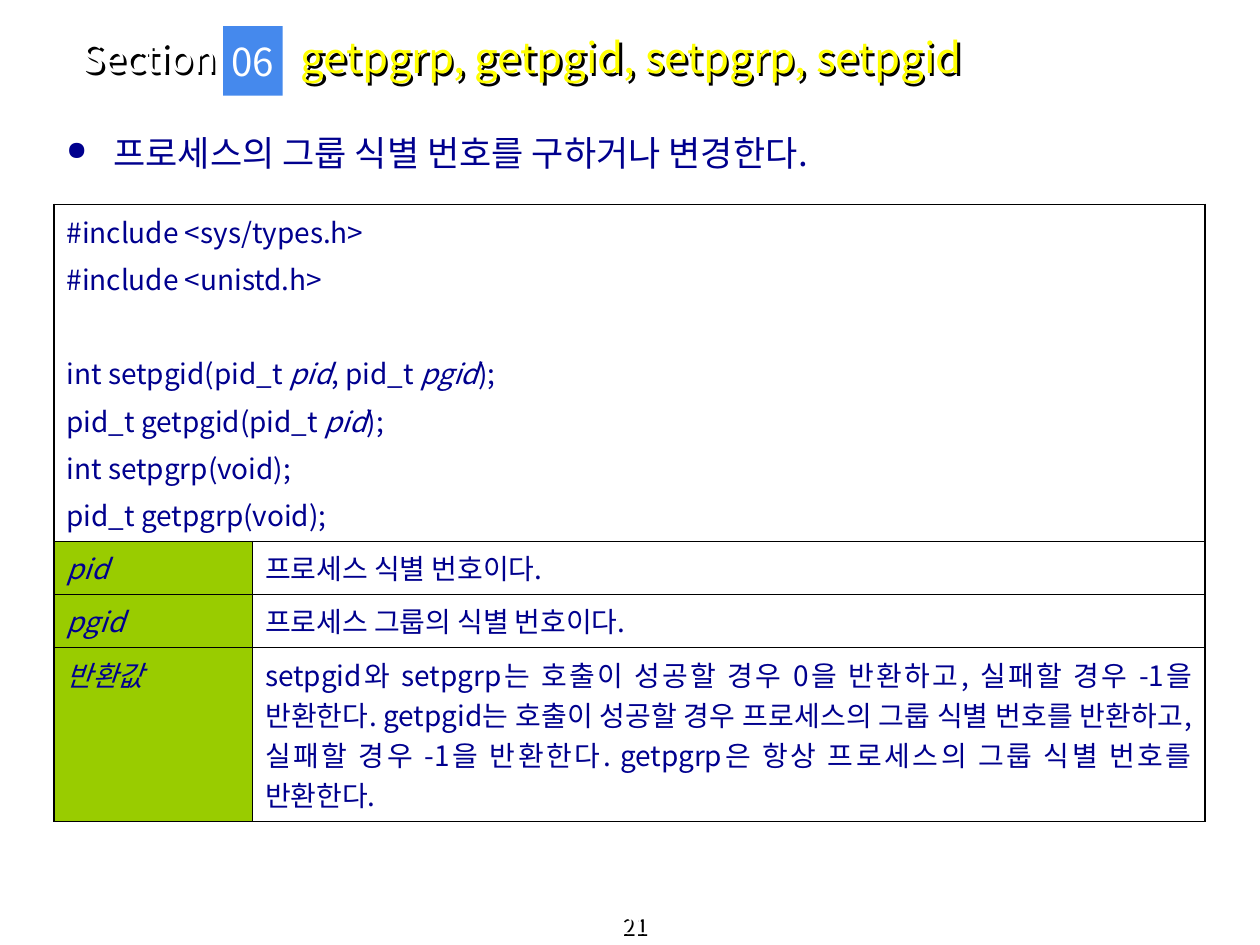
from lxml import etree
from pptx import Presentation
from pptx.dml.color import RGBColor
from pptx.enum.shapes import MSO_SHAPE
from pptx.enum.text import MSO_ANCHOR, PP_ALIGN
from pptx.oxml import parse_xml
from pptx.oxml.ns import nsdecls, qn
from pptx.util import Cm, Pt

RECTANGLE = MSO_SHAPE.RECTANGLE
TOP, MIDDLE, BOTTOM = MSO_ANCHOR.TOP, MSO_ANCHOR.MIDDLE, MSO_ANCHOR.BOTTOM
LEFT, CENTER, JUSTIFY = PP_ALIGN.LEFT, PP_ALIGN.CENTER, PP_ALIGN.JUSTIFY
FONT = "Noto Sans CJK KR"
COLORS = {
    "navy": "00008E",
    "white": "FFFFFF",
    "yellow": "FFFF00",
    "blue": "4589ED",
    "green": "99CC00",
    "black": "000000",
}


def write(para, text, size=16, color="navy", align=LEFT, before=0):
    """Fill a paragraph; parts between asterisks become italic."""
    para.alignment = align
    para.space_before = Pt(before)
    para._p.get_or_add_pPr().set("hangingPunct", "0")
    for index, part in enumerate(text.split("*")):
        if not part:
            continue
        span = para.add_run()
        span.text = part
        span.font.size = Pt(size)
        span.font.name = FONT
        span.font.italic = index % 2 == 1
        span.font.color.rgb = RGBColor.from_string(COLORS[color])
        latin = span.font._element.find(qn("a:latin"))
        latin.addnext(parse_xml(f'<a:ea {nsdecls("a")} typeface="{FONT}"/>'))


def add_text(page, left, top, width, height, text, anchor=MIDDLE, shadow=False, **style):
    box = page.shapes.add_textbox(Cm(left), Cm(top), Cm(width), Cm(height))
    box.text_frame.word_wrap = True
    box.text_frame.vertical_anchor = anchor
    write(box.text_frame.paragraphs[0], text, **style)
    if shadow:
        box._element.spPr.append(parse_xml(
            f'<a:effectLst {nsdecls("a")}><a:outerShdw dist="25400" dir="2700000">'
            f'<a:srgbClr val="{COLORS["black"]}"/></a:outerShdw></a:effectLst>'))
    return box


deck = Presentation()
deck.slide_width, deck.slide_height = Cm(25.4), Cm(19.05)
page = deck.slides.add_slide(deck.slide_layouts[6])

# Page number and section heading
add_text(page, 0.08, 18.49, 25.4, 0.56, "21", anchor=BOTTOM, shadow=True,
         size=13, color="white", align=CENTER)
add_text(page, 1.4, 0.69, 4.9, 0.94, "Section", shadow=True, size=22, color="white")
add_text(page, 5.81, 0.28, 16.48, 1.73, "getpgrp, getpgid, setpgrp, setpgid",
         shadow=True, size=24, color="yellow")

number = page.shapes.add_shape(RECTANGLE, Cm(4.5), Cm(0.53), Cm(1.2), Cm(1.4))
number.shadow.inherit = False
number.fill.solid()
number.fill.fore_color.rgb = RGBColor.from_string(COLORS["blue"])
number.line.fill.background()
number.text_frame.word_wrap = False
number.text_frame.vertical_anchor = MIDDLE
write(number.text_frame.paragraphs[0], "06", size=22, color="white", align=CENTER)

# Summary bullet
summary = add_text(page, 0.84, 2.53, 23.7, 1.19,
                   "프로세스의 그룹 식별 번호를 구하거나 변경한다.", anchor=TOP, size=20)
bullet = summary.text_frame.paragraphs[0]._p.get_or_add_pPr()
bullet.set("marL", str(Cm(1.2)))
bullet.set("indent", str(-Cm(0.95)))
color = etree.SubElement(bullet, qn("a:buClr"))
etree.SubElement(color, qn("a:srgbClr"), val=COLORS["navy"])
etree.SubElement(bullet, qn("a:buSzPct"), val="75000")
etree.SubElement(bullet, qn("a:buChar"), char="●")

# Function reference table
PROTOTYPES = [
    ("#include <sys/types.h>", 0),
    ("#include <unistd.h>", 4),
    ("int setpgid(pid_t *pid*, pid_t *pgid*);", 31),
    ("pid_t getpgid(pid_t *pid*);", 4),
    ("int setpgrp(void);", 4),
    ("pid_t getpgrp(void);", 4),
]
DESCRIPTIONS = [
    ("*pid*", "프로세스 식별 번호이다."),
    ("*pgid*", "프로세스 그룹의 식별 번호이다."),
    ("*반환값*", "setpgid와 setpgrp는 호출이 성공할 경우 0을 반환하고, 실패할 경우 -1을 "
     "반환한다. getpgid는 호출이 성공할 경우 프로세스의 그룹 식별 번호를 "
     "반환하고, 실패할 경우 -1을 반환한다. getpgrp은 항상 프로세스의 그룹 식별 "
     "번호를 반환한다."),
]
COLUMN_WIDTHS = [4, 19.2]
ROW_HEIGHTS = [6.79, 1.07, 1.07, 3.51]

table = page.shapes.add_table(len(ROW_HEIGHTS), len(COLUMN_WIDTHS), Cm(1.09), Cm(4.12),
                              Cm(sum(COLUMN_WIDTHS)), Cm(sum(ROW_HEIGHTS))).table
table.first_row = table.horz_banding = False
for column, width in zip(table.columns, COLUMN_WIDTHS):
    column.width = Cm(width)
for row, height in zip(table.rows, ROW_HEIGHTS):
    row.height = Cm(height)

header = table.cell(0, 0)
header.merge(table.cell(0, 1))
for index, (line, before) in enumerate(PROTOTYPES):
    frame = header.text_frame
    para = frame.add_paragraph() if index else frame.paragraphs[0]
    write(para, line, before=before)

for row, texts in enumerate(DESCRIPTIONS, start=1):
    for column, text in enumerate(texts):
        write(table.cell(row, column).text_frame.paragraphs[0], text,
              align=JUSTIFY if column else LEFT)

last_row, last_column = len(ROW_HEIGHTS) - 1, len(COLUMN_WIDTHS) - 1
for row in range(last_row + 1):
    for column in range(last_column + 1):
        cell = table.cell(row, column)
        outer = {"lnL": column == 0, "lnR": column == last_column or row == 0,
                 "lnT": row == 0, "lnB": row == last_row}
        for side, is_outer in outer.items():
            border = etree.SubElement(cell._tc.get_or_add_tcPr(), qn(f"a:{side}"),
                                      w=str(Pt(1.08 if is_outer else 0.45)))
            fill = etree.SubElement(border, qn("a:solidFill"))
            etree.SubElement(fill, qn("a:srgbClr"), val=COLORS["black"])
        if row and column == 0:
            cell.fill.solid()
            cell.fill.fore_color.rgb = RGBColor.from_string(COLORS["green"])
        else:
            cell.fill.background()

deck.save("out.pptx")
